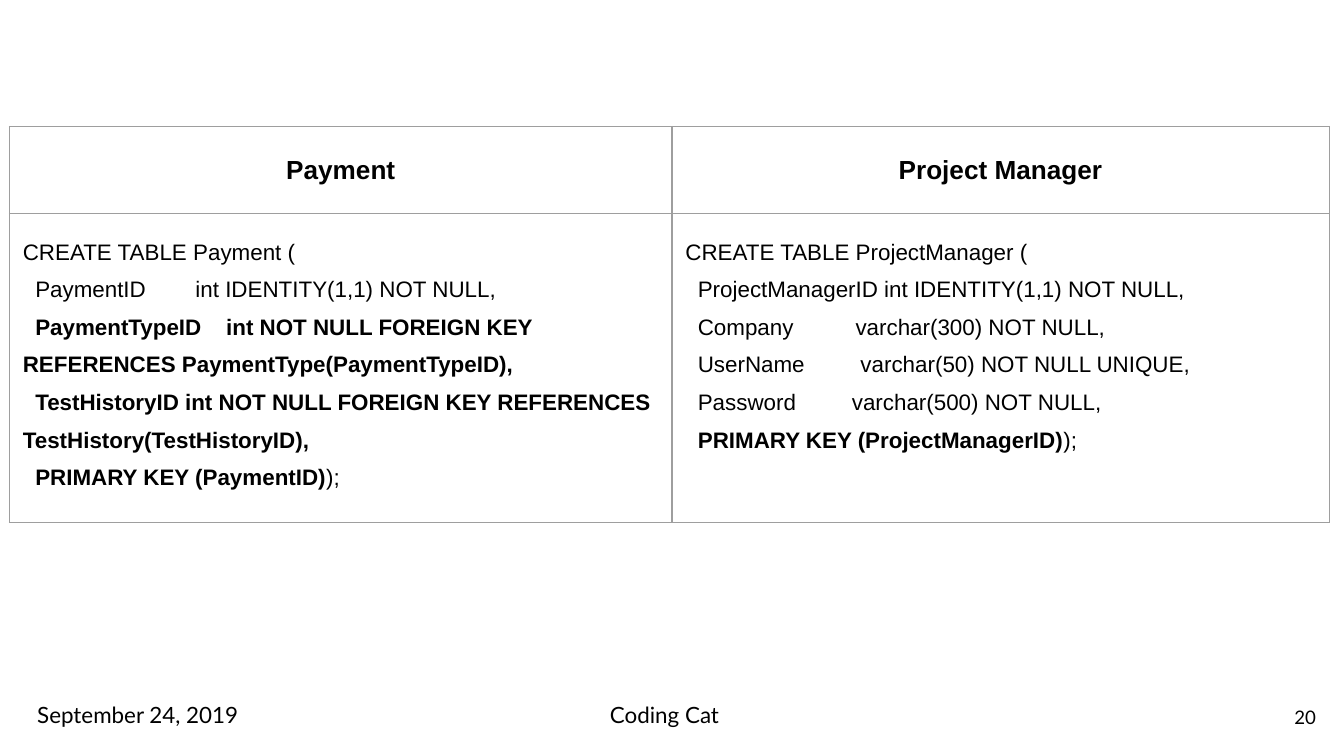
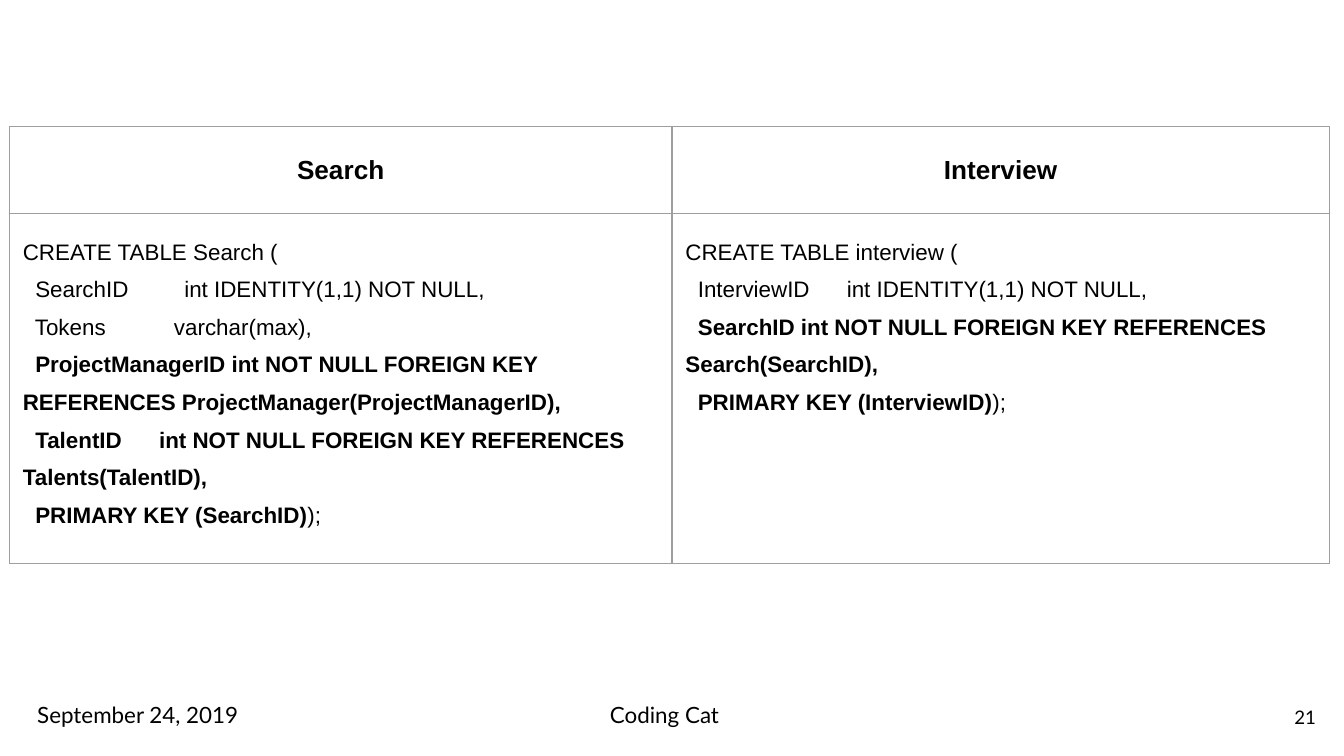
from lxml.etree import SubElement
from pptx import Presentation
from pptx.dml.color import RGBColor
from pptx.enum.text import MSO_ANCHOR, PP_ALIGN
from pptx.oxml.ns import qn
from pptx.util import Inches, Pt

WIDTH = 10
HEIGHT = WIDTH * 9 / 16
BLACK, WHITE, GREY = "000000", "FFFFFF", "9E9E9E"
TABLE_FONT, FOOTER_FONT = "Arial", "Lato"
INSET = Inches(0.1)
BORDER = Pt(0.75)
DATE, TEAM = "September 24, 2019", "Coding Cat"

# Places and sizes in inches; a box is left, top, width, height
TABLE_LEFT, TABLE_TOP = 0.07, 0.94
COLUMN_WIDTHS = (4.93, 4.89)
ROW_HEIGHTS = (0.65, 1.16)
FOOTER_BOX = (0.14, 5.12, 9.75, 0.43)

# Each slide: number, table height, and its tables as (title, SQL);
# ** switches bold on and off
SLIDES = [
    (20, 2.92, [
        ("Payment", """CREATE TABLE Payment (
  PaymentID        int IDENTITY(1,1) NOT NULL,
  **PaymentTypeID    int NOT NULL FOREIGN KEY REFERENCES PaymentType(PaymentTypeID),
**  TestHistoryID int NOT NULL FOREIGN KEY REFERENCES TestHistory(TestHistoryID),
**  PRIMARY KEY (PaymentID)**);"""),
        ("Project Manager", """CREATE TABLE ProjectManager (
  ProjectManagerID int IDENTITY(1,1) NOT NULL,
  Company          varchar(300) NOT NULL,
  UserName         varchar(50) NOT NULL UNIQUE,
  Password         varchar(500) NOT NULL,
  **PRIMARY KEY (ProjectManagerID)**);"""),
    ]),
    (21, 3.22, [
        ("Search", """CREATE TABLE Search (
  SearchID         int IDENTITY(1,1) NOT NULL,
  Tokens           varchar(max),
**  ProjectManagerID int NOT NULL FOREIGN KEY REFERENCES ProjectManager(ProjectManagerID),
**  TalentID      int NOT NULL FOREIGN KEY REFERENCES Talents(TalentID),
**  PRIMARY KEY (SearchID)**);"""),
        ("Interview", """CREATE TABLE interview (
  InterviewID      int IDENTITY(1,1) NOT NULL,
  **SearchID int NOT NULL FOREIGN KEY REFERENCES Search(SearchID),
**  PRIMARY KEY (InterviewID)**);"""),
    ]),
]


def color(hex_string):
    return RGBColor.from_string(hex_string)


def set_insets(target):
    target.margin_left = target.margin_right = INSET
    target.margin_top = target.margin_bottom = INSET


def add_run(paragraph, text, font_name, size, bold=False):
    run = paragraph.add_run()
    run.text = text
    run.font.name = font_name
    run.font.size = Pt(size)
    run.font.bold = bold
    run.font.color.rgb = color(BLACK)


def style_cell(cell):
    set_insets(cell)
    properties = cell._tc.get_or_add_tcPr()
    for side in ("lnL", "lnR", "lnT", "lnB"):
        line = SubElement(properties, qn(f"a:{side}"), w=str(BORDER))
        fill = SubElement(line, qn("a:solidFill"))
        SubElement(fill, qn("a:srgbClr"), val=GREY)
    cell.fill.background()


def write_title(cell, title):
    cell.vertical_anchor = MSO_ANCHOR.MIDDLE
    paragraph = cell.text_frame.paragraphs[0]
    paragraph.alignment = PP_ALIGN.CENTER
    add_run(paragraph, title, TABLE_FONT, 14, bold=True)


def write_sql(cell, sql):
    frame = cell.text_frame
    bold = False
    for index, line in enumerate(sql.split("\n")):
        paragraph = frame.add_paragraph() if index else frame.paragraphs[0]
        paragraph.line_spacing = 1.5
        for part, text in enumerate(line.split("**")):
            bold = part % 2 == 1
            if text:
                add_run(paragraph, text, TABLE_FONT, 12, bold)


def add_sql_table(slide, box, definitions):
    left, top, width, height = map(Inches, box)
    graphic_frame = slide.shapes.add_table(
        len(ROW_HEIGHTS), len(definitions), left, top, width, height)
    table = graphic_frame.table
    table.first_row = table.horz_banding = False
    for row, row_height in zip(table.rows, ROW_HEIGHTS):
        row.height = Inches(row_height)
    for index, (title, sql) in enumerate(definitions):
        table.columns[index].width = Inches(COLUMN_WIDTHS[index])
        title_cell, sql_cell = table.cell(0, index), table.cell(1, index)
        style_cell(title_cell)
        style_cell(sql_cell)
        write_title(title_cell, title)
        write_sql(sql_cell, sql)
    # Row heights are minimums; the frame holds the grown table
    graphic_frame.height = height


def add_footer(slide, box, number):
    left, top, width, height = box
    # Offset from the footer's left edge, width, text, size, alignment, anchor
    parts = [
        (width - 0.6, 0.6, str(number), 10, PP_ALIGN.RIGHT, MSO_ANCHOR.MIDDLE),
        (0, 1.77, DATE, 12, PP_ALIGN.CENTER, MSO_ANCHOR.TOP),
        (3.92, 1.77, TEAM, 12, PP_ALIGN.CENTER, MSO_ANCHOR.TOP),
    ]
    for offset, part_width, text, size, alignment, anchor in parts:
        shape = slide.shapes.add_textbox(
            Inches(left + offset), Inches(top), Inches(part_width), Inches(height))
        frame = shape.text_frame
        frame.word_wrap = True
        frame.vertical_anchor = anchor
        set_insets(frame)
        paragraph = frame.paragraphs[0]
        paragraph.alignment = alignment
        add_run(paragraph, text, FOOTER_FONT, size)


def add_schema_slide(presentation, number, table_height, definitions):
    slide = presentation.slides.add_slide(presentation.slide_layouts[6])
    slide.background.fill.solid()
    slide.background.fill.fore_color.rgb = color(WHITE)
    add_footer(slide, FOOTER_BOX, number)
    table_box = (TABLE_LEFT, TABLE_TOP, sum(COLUMN_WIDTHS), table_height)
    add_sql_table(slide, table_box, definitions)


def main():
    presentation = Presentation()
    presentation.slide_width = Inches(WIDTH)
    presentation.slide_height = Inches(HEIGHT)
    for number, table_height, definitions in SLIDES:
        add_schema_slide(presentation, number, table_height, definitions)
    presentation.save("out.pptx")


if __name__ == "__main__":
    main()
